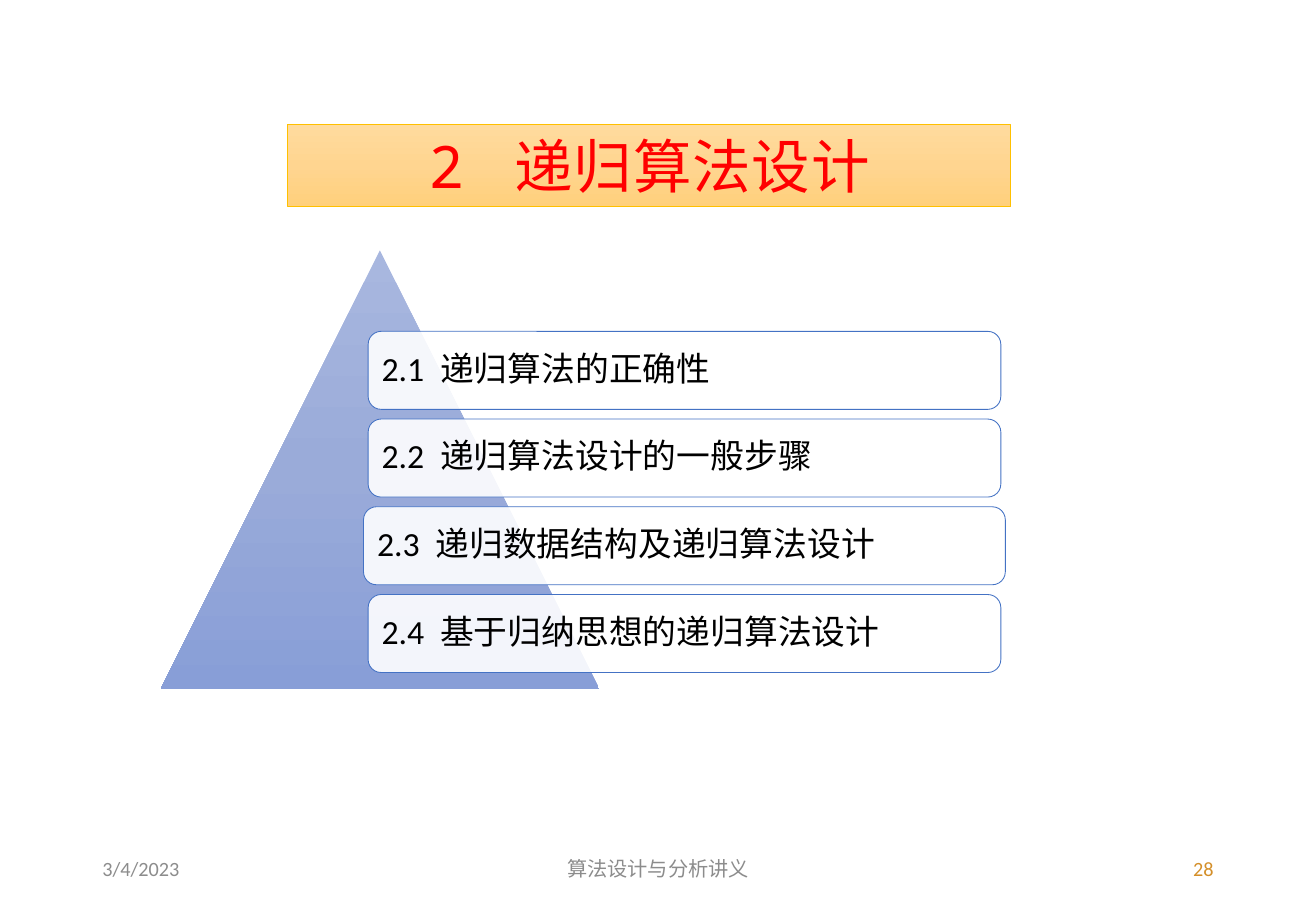
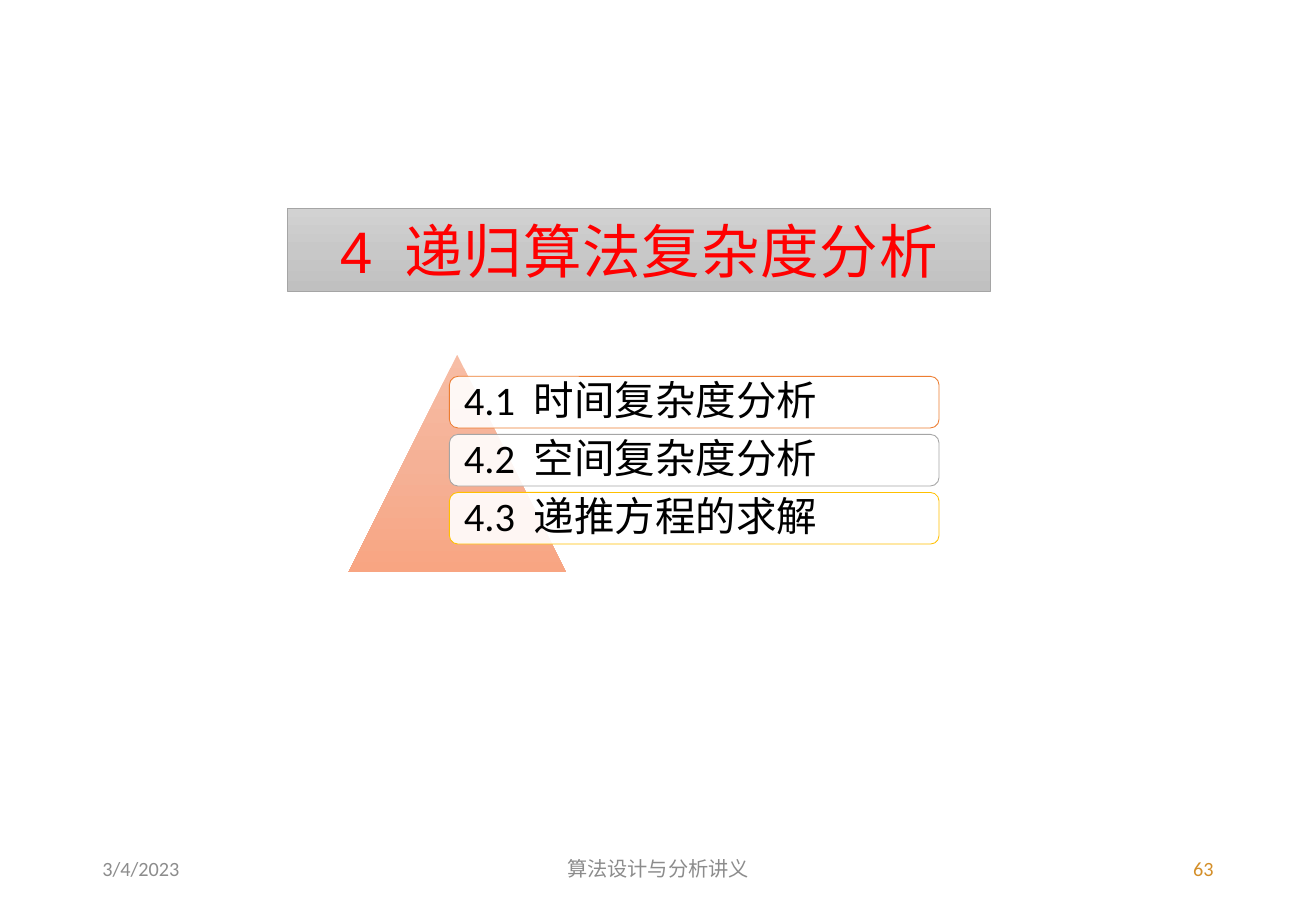
from copy import deepcopy
from dataclasses import dataclass

from lxml.etree import SubElement
from pptx import Presentation
from pptx.dml.color import RGBColor as RGB
from pptx.enum.shapes import MSO_SHAPE as SHAPE
from pptx.enum.text import MSO_ANCHOR as ANCHOR, MSO_AUTO_SIZE as FIT, PP_ALIGN as ALIGN
from pptx.oxml.ns import qn
from pptx.util import Pt


@dataclass(frozen=True)
class Theme:
    font: str = "Calibri"
    grey: str = "8C8C8C"
    amber: str = "D48F29"
    red: str = "FF0000"
    black: str = "000000"
    white: str = "FFFFFF"
    blue: str = "4472C4"
    orange: str = "ED7D31"
    silver: str = "A5A5A5"
    gold: str = "FFC000"
    title: float = 34.7
    foot: float = 12
    rule: float = 0.5
    track: float = 0.5
    gap: float = 0.24


T = Theme()
SIZE = (780, 540)
DATE, COURSE = "3/4/2023", "算法设计与分析讲义"

DECK = [
    {
        "page": "28",
        "title": ("2", "递归算法设计"),
        "font": "Noto Sans Mono",
        "band": (170.6, 73.6, 428.4, 49),
        "tint": ("FFDB9E", "FFD590", "FFD07C"),
        "edge": T.gold,
        "peak": (95.2, 148.5, 260),
        "slope": ("A8B7DF", "9AABD9", "889ED7"),
        "cards": (218.2, 196.4, 375),
        "size": 20,
        "inset": 5.76,
        "items": [
            ("2.1", "递归算法的正确性", T.blue, 0),
            ("2.2", "递归算法设计的一般步骤", T.blue, 0),
            ("2.3", "递归数据结构及递归算法设计", T.blue, 2.7),
            ("2.4", "基于归纳思想的递归算法设计", T.blue, 0),
        ],
    },
    {
        "page": "63",
        "title": ("4", "递归算法复杂度分析"),
        "font": "Arial",
        "band": (170.6, 123.8, 416.2, 49),
        "tint": ("D2D2D2", "C8C8C8", "C0C0C0"),
        "edge": T.silver,
        "peak": (206.5, 210.3, 129),
        "slope": ("F7BDA5", "F5B196", "F8A582"),
        "cards": (266.4, 223.1, 290.2),
        "size": 24,
        "inset": 7.2,
        "items": [
            ("4.1", "时间复杂度分析", T.orange, 0),
            ("4.2", "空间复杂度分析", T.silver, 0),
            ("4.3", "递推方程的求解", T.gold, 0),
        ],
    },
]


def add_run(para, text, size, color, font=T.font, track=0):
    run = para.add_run()
    run.text = text
    run.font.size = Pt(size)
    run.font.name = font
    run.font.color.rgb = RGB.from_string(color)
    if track:
        run.font._element.set("spc", str(round(track * 100)))


def add_head(para, parts, size, color, font=T.font, track=0):
    mark, text = parts
    add_run(para, mark, size, color, font, track)
    add_run(para, " ", size, color, font, track + T.gap * size)
    add_run(para, text, size, color, font, track)


def add_box(shapes, kind, box, edge=None):
    shape = shapes.add_shape(kind, *map(Pt, box))
    shape.shadow.inherit = False
    if edge:
        shape.line.color.rgb = RGB.from_string(edge)
        shape.line.width = Pt(T.rule)
    else:
        shape.line.fill.background()
    return shape


def blend(shape, colors):
    shape.fill.gradient()
    shape.fill.gradient_angle = 270
    stops = shape.element.spPr.find(".//" + qn("a:gsLst"))
    stops.insert(1, deepcopy(stops[0]))
    for i, (stop, color) in enumerate(zip(shape.fill.gradient_stops, colors)):
        stop.color.rgb = RGB.from_string(color)
        stop.position = i / 2


def add_foot(slide, page):
    for left, width, text, align, color in (
        (53.6, 175.5, DATE, ALIGN.LEFT, T.grey),
        (258.4, 263.3, COURSE, ALIGN.CENTER, T.grey),
        (550.9, 175.5, page, ALIGN.RIGHT, T.amber),
    ):
        frame = slide.shapes.add_textbox(Pt(left), Pt(500.5), Pt(width), Pt(28.8)).text_frame
        frame.word_wrap = True
        frame.vertical_anchor = ANCHOR.MIDDLE
        para = frame.paragraphs[0]
        para.alignment = align
        add_run(para, text, T.foot, color)


def add_title(slide, data):
    band = add_box(slide.shapes, SHAPE.RECTANGLE, data["band"], data["edge"])
    blend(band, data["tint"])
    frame = band.text_frame
    frame.word_wrap = True
    frame.auto_size = FIT.SHAPE_TO_FIT_TEXT
    frame.vertical_anchor = ANCHOR.TOP
    para = frame.paragraphs[0]
    para.alignment = ALIGN.CENTER
    add_head(para, data["title"], T.title, T.red, data["font"], T.track)


def add_card(shapes, box, parts, edge, size, inset):
    card = add_box(shapes, SHAPE.ROUNDED_RECTANGLE, box, edge)
    card.fill.solid()
    card.fill.fore_color.rgb = RGB.from_string(T.white)
    color = card.element.spPr.find(qn("a:solidFill"))[0]
    SubElement(color, qn("a:alpha")).set("val", "90000")
    frame = card.text_frame
    frame.word_wrap = True
    frame.vertical_anchor = ANCHOR.MIDDLE
    frame.margin_left = frame.margin_right = Pt(inset)
    frame.margin_top = frame.margin_bottom = Pt(inset)
    para = frame.paragraphs[0]
    para.alignment = ALIGN.LEFT
    para.line_spacing = 0.9
    add_head(para, parts, size, T.black)


def add_list(slide, data):
    shapes = slide.shapes.add_group_shape().shapes
    left, top, side = data["peak"]
    peak = add_box(shapes, SHAPE.ISOSCELES_TRIANGLE, (left, top, side, side))
    blend(peak, data["slope"])
    left, top, width = data["cards"]
    step = 0.8 * side / len(data["items"])
    tall = step * 8 / 9
    for i, (mark, text, edge, grow) in enumerate(data["items"]):
        box = (left - grow, top + i * step, width + 2 * grow, tall)
        add_card(shapes, box, (mark, text), edge, data["size"], data["inset"])


def main():
    deck = Presentation()
    deck.slide_width, deck.slide_height = map(Pt, SIZE)
    for data in DECK:
        slide = deck.slides.add_slide(deck.slide_layouts[6])
        add_foot(slide, data["page"])
        add_title(slide, data)
        add_list(slide, data)
    deck.save("out.pptx")


if __name__ == "__main__":
    main()
